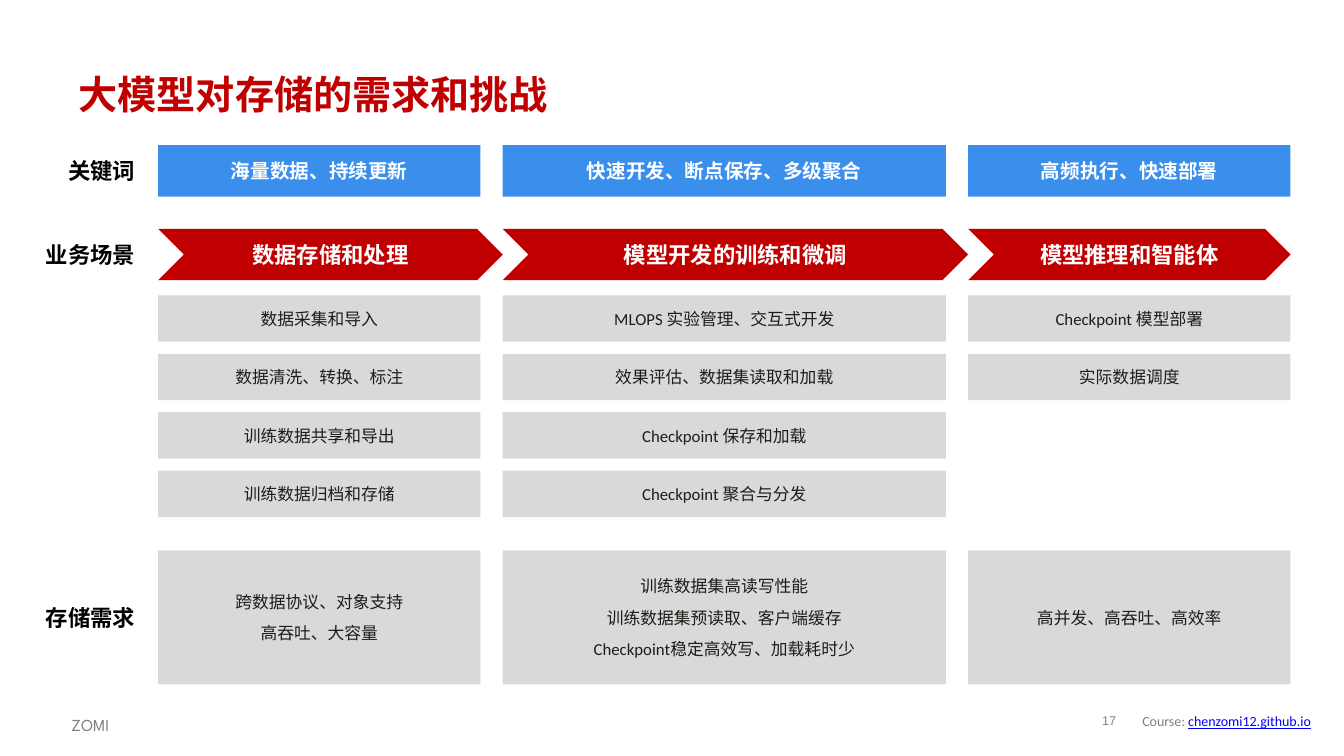
from dataclasses import dataclass

from pptx import Presentation
from pptx.dml.color import RGBColor
from pptx.enum.shapes import MSO_SHAPE as Shape
from pptx.enum.text import MSO_ANCHOR as Anchor, MSO_AUTO_SIZE as AutoSize, PP_ALIGN as Align
from pptx.util import Inches, Pt


@dataclass(frozen=True)
class Theme:
    red: str = "C00000"
    blue: str = "3A8EEC"
    panel: str = "D9D9D9"
    ink: str = "1D1D1A"
    black: str = "000000"
    white: str = "FFFFFF"
    muted: str = "808080"
    link: str = "0000FF"
    title_size: int = 28
    heading_size: int = 16
    keyword_size: int = 14
    body_size: int = 12
    footer_size: int = 10
    number_size: int = 9
    title_font: str = "League Spartan"
    body_font: str = "Calibri"
    stage_font: str = "Arial"


class SlideBuilder:
    """Draws themed elements on the current slide."""

    def __init__(self, deck, theme):
        self.theme = theme
        self.slide = deck.slides.add_slide(deck.slide_layouts[5])

    def style(self, run, size, color, bold=False, font=None):
        run.font.size = Pt(size)
        run.font.name = font or self.theme.body_font
        run.font.bold = bold
        run.font.color.rgb = RGBColor.from_string(color)

    def fill_text(self, frame, text, size, color, align, bold=False, font=None):
        frame.word_wrap = True
        frame.auto_size = AutoSize.NONE
        frame.vertical_anchor = Anchor.MIDDLE
        frame.text = text
        for paragraph in frame.paragraphs:
            paragraph.alignment = align
            for run in paragraph.runs:
                self.style(run, size, color, bold, font)
        for paragraph in frame.paragraphs[:-1]:
            paragraph.space_after = Pt(8)

    def title(self, text, box):
        heading = self.slide.shapes.title
        heading.left, heading.top, heading.width, heading.height = map(Inches, box)
        self.fill_text(heading.text_frame, text, self.theme.title_size, self.theme.red,
                       Align.LEFT, True, self.theme.title_font)

    def label(self, text, box, size, color, align=Align.RIGHT, bold=False, font=None):
        frame = self.slide.shapes.add_textbox(*map(Inches, box)).text_frame
        self.fill_text(frame, text, size, color, align, bold, font)
        return frame

    def block(self, text, box, fill, size, color, bold=False, font=None, outline=Shape.RECTANGLE):
        panel = self.slide.shapes.add_shape(outline, *map(Inches, box))
        panel.shadow.inherit = False
        panel.fill.solid()
        panel.fill.fore_color.rgb = RGBColor.from_string(fill)
        panel.line.fill.background()
        self.fill_text(panel.text_frame, text, size, color, Align.CENTER, bold, font)

    def footer(self, author, number, course, site):
        theme = self.theme
        signature = self.label(author, (0.61, 7, 0.8, 0.32), theme.body_size, theme.muted,
                               Align.LEFT, font=theme.title_font)
        signature.vertical_anchor = Anchor.TOP
        signature.paragraphs[0].line_spacing = 1.2
        credit = self.label(course, (10.65, 7.01, 2.46, 0.29), theme.footer_size, theme.muted)
        address = credit.paragraphs[0].add_run()
        address.text = site
        self.style(address, theme.footer_size, theme.link)
        address.font.underline = True
        page = self.label(number, (10.83, 7, 0.36, 0.31), theme.number_size, theme.muted,
                          Align.CENTER, font=theme.stage_font)
        page.margin_left = page.margin_right = page.margin_top = page.margin_bottom = 0
        page.paragraphs[0].line_spacing = 0.85


STAGES = [
    (3.2, "海量数据、持续更新", "数据存储和处理",
     ["数据采集和导入", "数据清洗、转换、标注", "训练数据共享和导出", "训练数据归档和存储"],
     "跨数据协议、对象支持\n高吞吐、大容量"),
    (4.4, "快速开发、断点保存、多级聚合", "模型开发的训练和微调",
     ["MLOPS 实验管理、交互式开发", "效果评估、数据集读取和加载",
      "Checkpoint 保存和加载", "Checkpoint 聚合与分发"],
     "训练数据集高读写性能\n训练数据集预读取、客户端缓存\nCheckpoint稳定高效写、加载耗时少"),
    (3.2, "高频执行、快速部署", "模型推理和智能体",
     ["Checkpoint 模型部署", "实际数据调度"],
     "高并发、高吞吐、高效率"),
]
COLUMN_LEFT, COLUMN_GAP = 1.57, 0.22
KEYWORD_TOP, STAGE_TOP, BAND_HEIGHT = 1.44, 2.27, 0.51
TASK_TOP, TASK_PITCH, TASK_HEIGHT = 2.93, 0.58, 0.46
NEED_TOP, NEED_HEIGHT = 5.46, 1.33


def main():
    deck = Presentation()
    deck.slide_width, deck.slide_height = Inches(13.34), Inches(7.5)
    theme = Theme()
    page = SlideBuilder(deck, theme)
    page.title("大模型对存储的需求和挑战", (0.68, 0.61, 11.99, 0.64))

    for name, top, height in [("关键词", KEYWORD_TOP, BAND_HEIGHT),
                              ("业务场景", STAGE_TOP, BAND_HEIGHT),
                              ("存储需求", NEED_TOP, NEED_HEIGHT)]:
        page.label(name, (0.11, top, 1.33, height), theme.heading_size, theme.black, bold=True)

    left = COLUMN_LEFT
    for index, (width, keywords, stage, tasks, needs) in enumerate(STAGES):
        is_last = index == len(STAGES) - 1
        arrow_width = width if is_last else width + COLUMN_GAP
        page.block(keywords, (left, KEYWORD_TOP, width, BAND_HEIGHT), theme.blue,
                   theme.keyword_size, theme.white, True)
        page.block(stage, (left, STAGE_TOP, arrow_width, BAND_HEIGHT), theme.red,
                   theme.heading_size, theme.white, True, theme.stage_font, Shape.CHEVRON)
        for row, task in enumerate(tasks):
            page.block(task, (left, TASK_TOP + row * TASK_PITCH, width, TASK_HEIGHT),
                       theme.panel, theme.body_size, theme.ink)
        page.block(needs, (left, NEED_TOP, width, NEED_HEIGHT), theme.panel,
                   theme.body_size, theme.ink)
        left += width + COLUMN_GAP

    page.footer("ZOMI", "17", "Course: ", "chenzomi12.github.io")
    deck.save("out.pptx")


if __name__ == "__main__":
    main()
